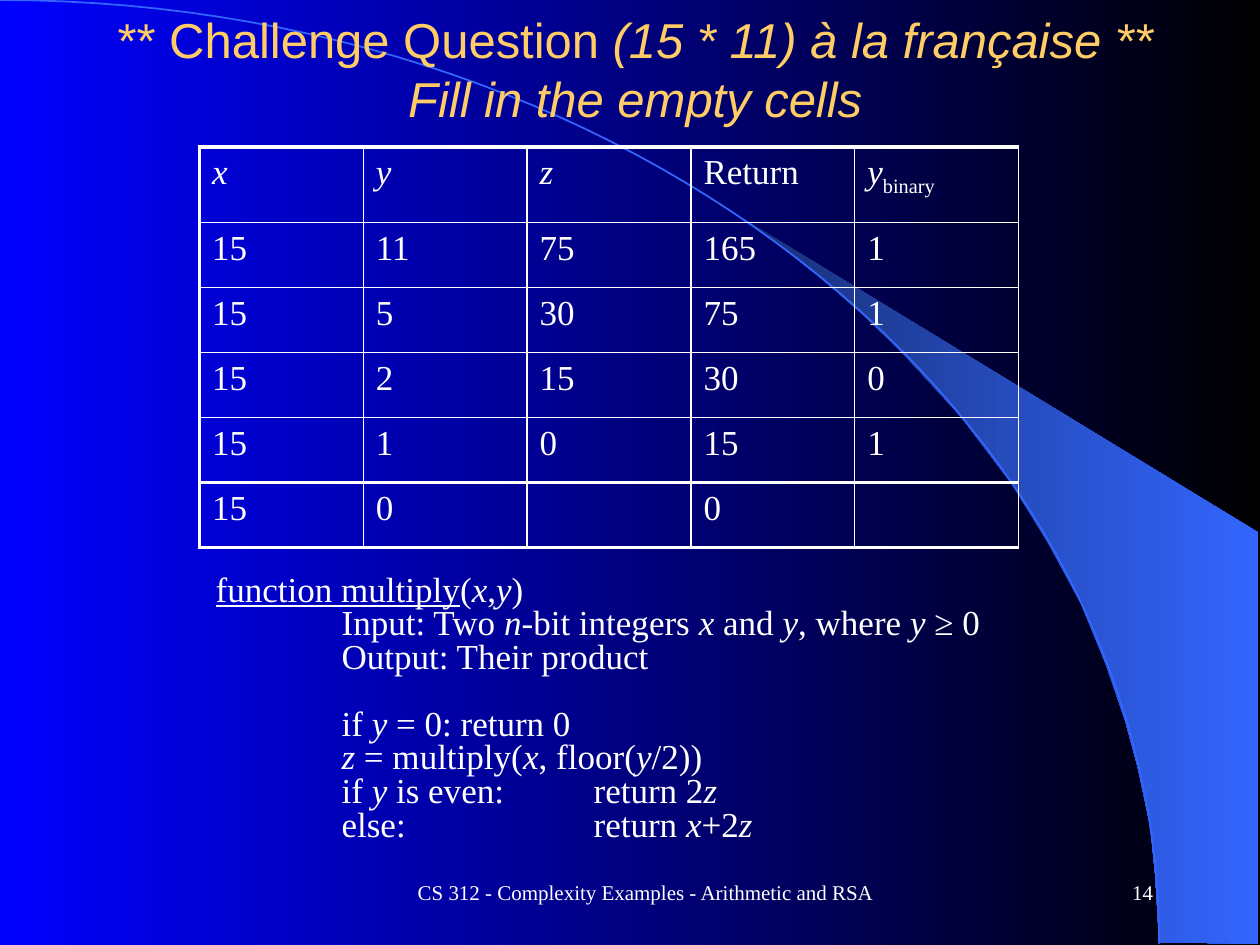
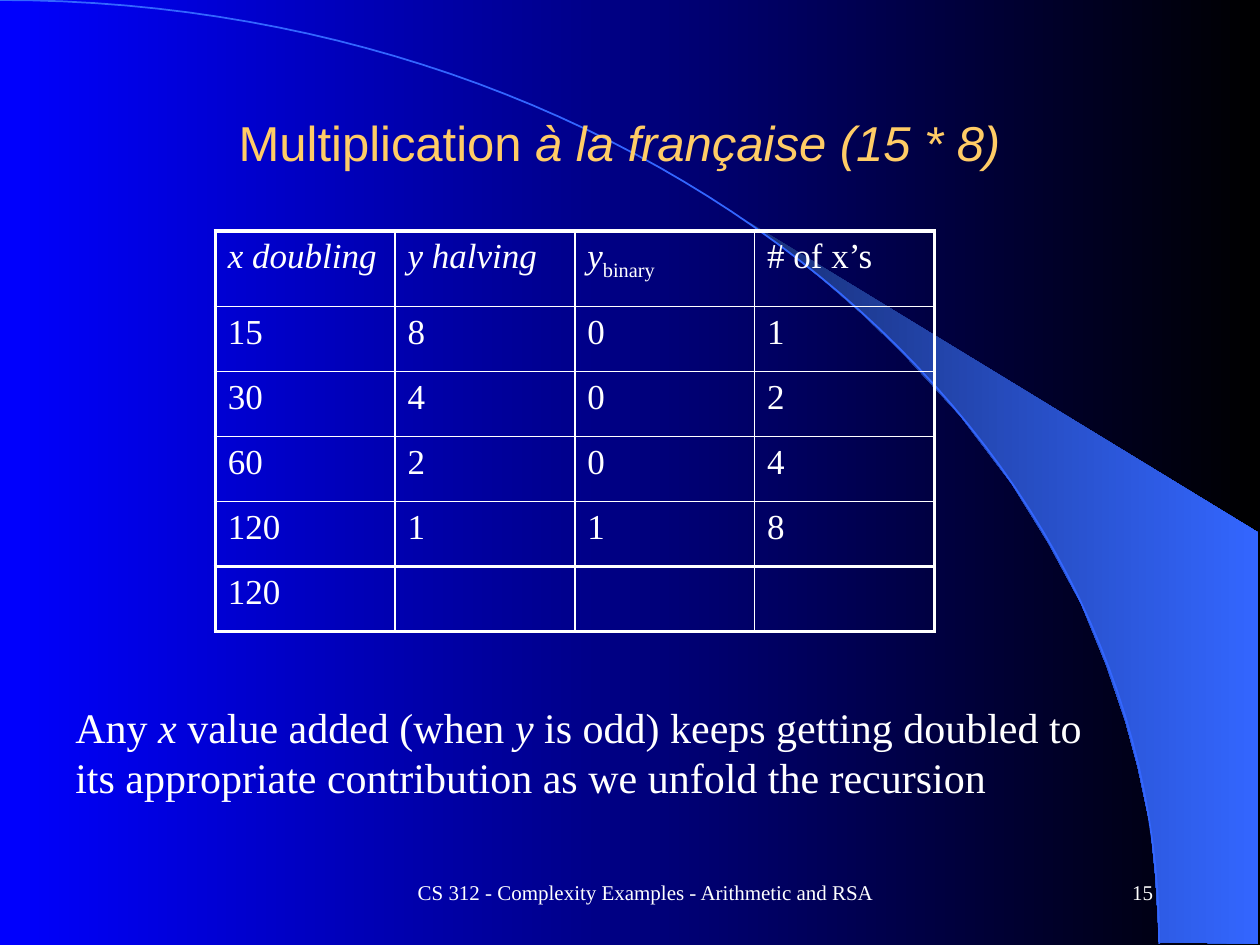
from dataclasses import dataclass

from lxml import etree
from pptx import Presentation, util as u
from pptx.dml.color import RGBColor
from pptx.enum import text
from pptx.oxml.ns import qn


@dataclass(frozen=True)
class Theme:
    bg_start: str = "0000FF"
    bg_end: str = "000000"
    sweep_start: str = "182F76"
    sweep_end: str = "3366FF"
    title: str = "FFCC66"
    body: str = "FFFFFF"
    title_font: str = "Arial"
    body_font: str = "Times New Roman"
    title_size: float = 28
    note_size: float = 24
    table_size: float = 20
    footer_size: float = 12
    thin: float = 1
    thick: float = 2.25


THEME = Theme()
COURSE = "CS 312 - Complexity Examples - Arithmetic and RSA"

# The page is a grid of 120 columns by 90 rows
prs = Presentation()
prs.slide_width, prs.slide_height = u.Inches(10), u.Inches(7.5)
COLUMN, ROW = prs.slide_width / 120, prs.slide_height / 90


def place(left, top, width, height):
    """Turn a box in grid units into slide lengths."""
    return [u.Emu(round(n * unit)) for n, unit in
            zip((left, top, width, height), (COLUMN, ROW, COLUMN, ROW))]


def rgb(colour):
    return RGBColor.from_string(colour)


def gradient(fill, start, end):
    fill.gradient()
    fill.gradient_angle = 0
    for stop, colour in zip(fill.gradient_stops, (start, end)):
        stop.color.rgb = rgb(colour)


def set_tabs(para, columns):
    tabs = etree.SubElement(para._p.get_or_add_pPr(), qn("a:tabLst"))
    for column in columns:
        etree.SubElement(tabs, qn("a:tab"), pos=str(round(column * COLUMN)),
                         algn="l")


# Text: _italic_, ^subscript^, |underline|; a newline breaks the line
def write(frame, paragraphs, *, size, font=THEME.body_font, colour=THEME.body,
          align=text.PP_ALIGN.LEFT, anchor=text.MSO_ANCHOR.TOP,
          line_spacing=None, gap_at=None, gap=0, tabs=()):
    frame.word_wrap = True
    frame.vertical_anchor = anchor
    for index, content in enumerate(paragraphs):
        para = frame.add_paragraph() if index else frame.paragraphs[0]
        para.alignment = align
        para.line_spacing = line_spacing
        if index == gap_at:
            para.space_before = u.Pt(gap)
        if tabs:
            set_tabs(para, tabs)
        marks, pending = set(), ""
        for char in content + "\0":
            if char not in "_^|\n\0":
                pending += char
                continue
            if pending:
                run = para.add_run()
                run.text, pending = pending, ""
                run.font.size, run.font.name = u.Pt(size), font
                run.font.color.rgb = rgb(colour)
                run.font.italic = "_" in marks
                run.font.underline = "|" in marks
                if "^" in marks:
                    run.font._element.set("baseline", "-25000")
            if char == "\n":
                para.add_line_break()
            else:
                marks ^= {char}


def text_box(slide, box, paragraphs, **style):
    frame = slide.shapes.add_textbox(*place(*box)).text_frame
    write(frame, paragraphs, **style)


# Background and sweep, shared through the master
def decorate_master(master, slide):
    gradient(master.background.fill, THEME.bg_start, THEME.bg_end)

    def outline(points, close):
        points = [(u.Inches(x), u.Inches(y)) for x, y in points]
        builder = slide.shapes.build_freeform(*points[0])
        builder.add_line_segments(points[1:], close=close)
        shape = builder.convert_to_shape()
        shape.shadow.inherit = False
        return shape

    beam = outline([
        (9.2, 7.48), (9.99, 7.49), (9.99, 4.23), (5.89, 1.73), (6.24, 1.99),
        (6.53, 2.22), (6.85, 2.5), (7.16, 2.8), (7.62, 3.3), (8.03, 3.84),
        (8.32, 4.31), (8.58, 4.79), (8.78, 5.28), (8.93, 5.72), (9.03, 6.09),
        (9.13, 6.56), (9.17, 6.96)], close=True)
    gradient(beam.fill, THEME.sweep_start, THEME.sweep_end)
    beam.line.fill.background()

    def bezier(t, p0, p1, p2, p3):
        s = 1 - t
        return s**3 * p0 + 3 * s * s * t * p1 + 3 * s * t * t * p2 + t**3 * p3

    steps = 60
    arc = outline([(bezier(i / steps, 0, 5.08, 9.2, 9.2),
                    bezier(i / steps, 0, 0, 3.35, 7.49))
                   for i in range(steps + 1)], close=False)
    arc.fill.background()
    arc.line.color.rgb = rgb(THEME.sweep_end)
    arc.line.width = u.Pt(THEME.thin)

    for position, shape in enumerate((beam, arc), start=2):
        master.shapes._spTree.insert(position, shape._element)


# Title and footer
def add_page(number, title, title_box):
    slide = prs.slides.add_slide(prs.slide_layouts[5])
    heading = slide.shapes.title
    heading.left, heading.top, heading.width, heading.height = place(*title_box)
    heading.text_frame.auto_size = text.MSO_AUTO_SIZE.NONE
    write(heading.text_frame, [title], size=THEME.title_size,
          font=THEME.title_font, colour=THEME.title,
          align=text.PP_ALIGN.CENTER, anchor=text.MSO_ANCHOR.MIDDLE)
    for box, content, align in (
            ((38, 82, 47, 6), COURSE, text.PP_ALIGN.CENTER),
            ((86, 82, 25, 6), str(number), text.PP_ALIGN.RIGHT)):
        text_box(slide, box, [content], size=THEME.footer_size, align=align,
                 anchor=text.MSO_ANCHOR.MIDDLE)
    return slide


# Table: ruled cells, heavy frame and a heavy rule above the last row
def set_borders(cell, **widths):
    props = cell._tc.get_or_add_tcPr()
    for position, (side, width) in enumerate(widths.items()):
        line = etree.Element(qn("a:ln" + side), w=str(u.Pt(width)))
        fill = etree.SubElement(line, qn("a:solidFill"))
        etree.SubElement(fill, qn("a:srgbClr"), val=THEME.body)
        props.insert(position, line)


def add_trace_table(slide, box, rows, heavy_right, header_rows=7.2):
    last_row, last_col = len(rows) - 1, len(rows[0]) - 1
    table = slide.shapes.add_table(len(rows), len(rows[0]), *place(*box)).table
    table.first_row = table.horz_banding = False
    for column in table.columns:
        column.width = u.Emu(round(box[2] * COLUMN / (last_col + 1)))
    for r, row in enumerate(rows):
        height = (box[3] - header_rows) / last_row if r else header_rows
        table.rows[r].height = u.Emu(round(height * ROW))
        for c, content in enumerate(row):
            cell = table.cell(r, c)
            cell.fill.background()

            def rule(heavy):
                return THEME.thick if heavy else THEME.thin

            set_borders(cell, L=rule(c == 0),
                        R=rule(heavy_right and c == last_col),
                        T=rule(r in (0, last_row)),
                        B=rule(r >= last_row - 1))
            if content:
                write(cell.text_frame, [content], size=THEME.table_size)


# Slide 14: challenge question
challenge = add_page(
    14, "** Challenge Question _(15 * 11) à la française **\n"
        "Fill in the empty cells_", (8, 1, 105, 11))
decorate_master(prs.slide_master, challenge)
add_trace_table(challenge, (19, 14, 78, 38.17), [
    ["_x_", "_y_", "_z_", "Return", "_y_^binary^"],
    ["15", "11", "75", "165", "1"],
    ["15", "5", "30", "75", "1"],
    ["15", "2", "15", "30", "0"],
    ["15", "1", "0", "15", "1"],
    ["15", "0", "", "0", ""],
], heavy_right=False)
text_box(challenge, (19.35, 54.2, 75.7, 27), [
    "|function multiply|(_x_,_y_)",
    "\tInput: Two _n_-bit integers _x_ and _y_, where _y _≥ 0",
    "\tOutput: Their product",
    "\tif _y_ = 0: return 0",
    "\t_z_ = multiply(_x_, floor(_y_/2))",
    "\tif _y_ is even:\treturn 2_z_",
    "\telse:\t\treturn _x_+2_z_",
], size=THEME.table_size, line_spacing=0.8, gap_at=3, gap=19,
    tabs=(12, 24, 36))

# Slide 15: worked multiplication
worked = add_page(15, "Multiplication _à la française (15 * 8)_",
                  (8, 8, 102, 11))
add_trace_table(worked, (20.5, 22, 68.5, 38.17), [
    ["_x doubling_", "_y halving_", "_y_^binary^", "# of x’s"],
    ["15", "8", "0", "1"],
    ["30", "4", "0", "2"],
    ["60", "2", "0", "4"],
    ["120", "1", "1", "8"],
    ["120", "", "", ""],
], heavy_right=True)
text_box(worked, (6, 66.2, 99.4, 11), [
    "Any _x_ value added (when _y_ is odd) keeps getting doubled to ",
    "its appropriate contribution as we unfold the recursion",
], size=THEME.note_size)

prs.save("out.pptx")
